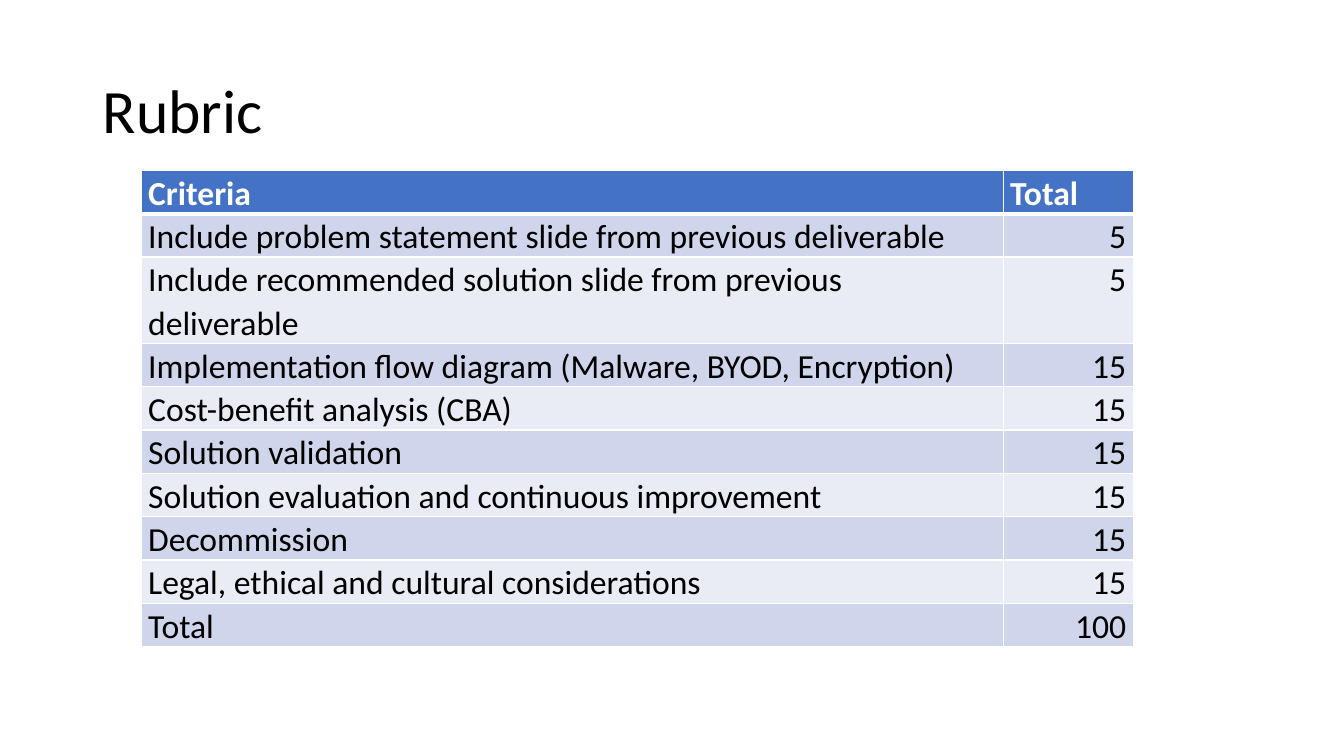
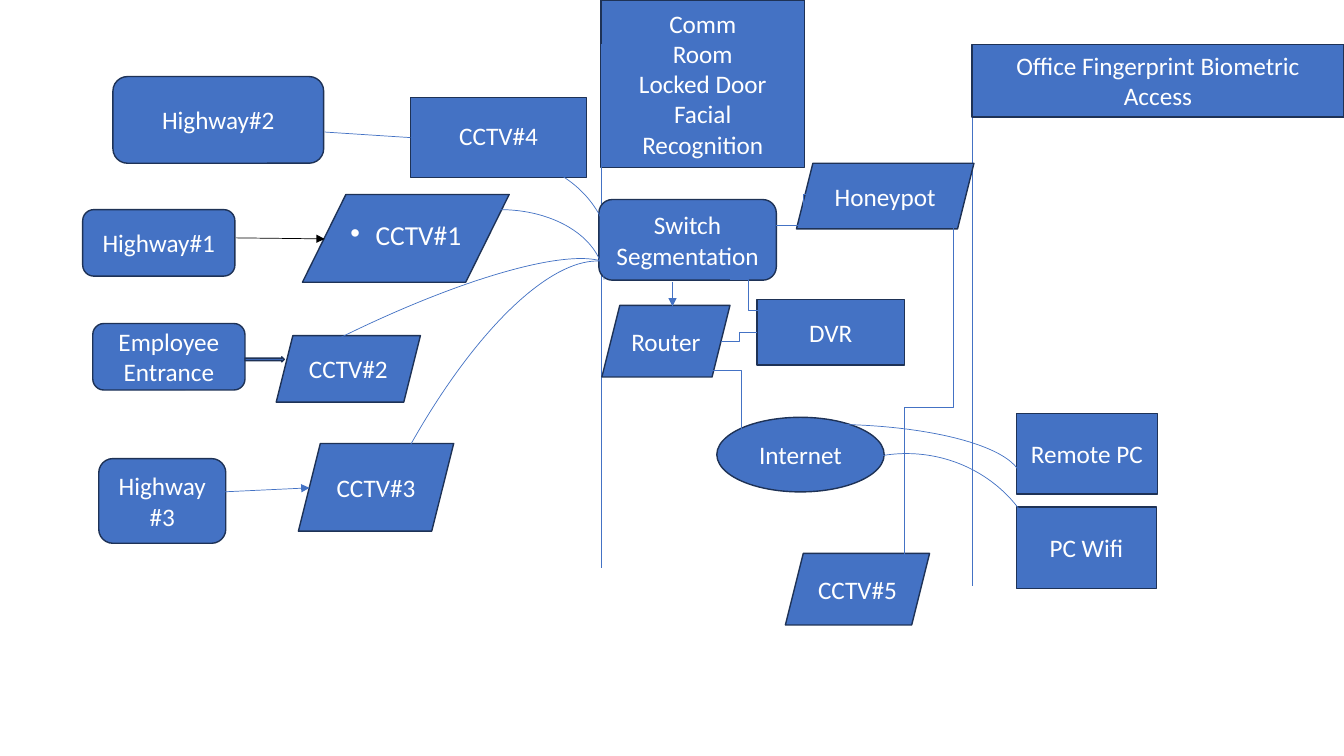
from lxml.etree import SubElement
from pptx import Presentation
from pptx.dml.color import RGBColor
from pptx.enum.shapes import MSO_CONNECTOR, MSO_SHAPE
from pptx.enum.text import MSO_ANCHOR, PP_ALIGN
from pptx.oxml import parse_xml
from pptx.oxml.ns import nsdecls, qn
from pptx.util import Inches, Pt

FONT = "Calibri"
BLUE, NAVY, WHITE, BLACK = "4472C4", "1E3256", "FFFFFF", "000000"
BANDS = ("CFD5EA", "E9EBF5")
COLUMNS, ROWS = 13.33, 7.5


def grid(*places):
    """Turn columns and rows of the one-inch grid into slide lengths."""
    return [Inches(place) for place in places]


def colour(code):
    return RGBColor.from_string(code)


class Deck:
    """Holds the style and the current slide."""

    def __init__(self):
        self.presentation = Presentation()
        self.presentation.slide_width, self.presentation.slide_height = grid(COLUMNS, ROWS)
        self.slide = None

    def new_slide(self):
        self.slide = self.presentation.slides.add_slide(self.presentation.slide_layouts[6])

    def set_text(self, frame, text, size, ink, align, spacing=None, bold=False):
        frame.text = text
        frame.word_wrap = True
        for paragraph in frame.paragraphs:
            paragraph.alignment = align
            paragraph.line_spacing = spacing
            paragraph.font.name = FONT
            paragraph.font.size = Pt(size)
            paragraph.font.bold = bold
            paragraph.font.color.rgb = colour(ink)

    def title(self, text):
        frame = self.slide.shapes.add_textbox(*grid(0.92, 0.4, 11.5, 1.45)).text_frame
        self.set_text(frame, text, 44, BLACK, PP_ALIGN.LEFT, 0.9)
        frame.vertical_anchor = MSO_ANCHOR.MIDDLE

    def table(self, at, widths, row_height, records):
        height = row_height * len(records)
        table = self.slide.shapes.add_table(
            len(records), len(widths), *grid(*at, sum(widths), height)).table
        for column, width in zip(table.columns, widths):
            column.width = Inches(width)
        for row, record in enumerate(records):
            table.rows[row].height = Inches(row_height)
            for column, text in enumerate(record):
                self.fill_cell(table.cell(row, column), text, row, column)

    def fill_cell(self, cell, text, row, column):
        header = row == 0
        align = PP_ALIGN.RIGHT if column and not header else PP_ALIGN.LEFT
        self.set_text(cell.text_frame, text, 24, WHITE if header else BLACK, align, 1.07, header)
        cell.text_frame.paragraphs[0].space_before = Pt(6)
        cell.margin_left = cell.margin_right = Inches(0.07)
        cell.margin_top = cell.margin_bottom = 0
        cell.fill.solid()
        cell.fill.fore_color.rgb = colour(BLUE if header else BANDS[(row - 1) % 2])
        top, bottom = (3 if row == 1 else 1), (3 if header else 1)
        for place, (side, width) in enumerate(zip("LRTB", (1, 1, top, bottom))):
            cell._tc.get_or_add_tcPr().insert(place, parse_xml(
                f'<a:ln{side} {nsdecls("a")} w="{Pt(width)}"><a:solidFill>'
                f'<a:srgbClr val="{WHITE}"/></a:solidFill></a:ln{side}>'))

    def node(self, kind, at, text="", adjust=None, size=18, spacing=None):
        shape = self.slide.shapes.add_shape(kind, *grid(*at))
        shape.shadow.inherit = False
        shape.fill.solid()
        shape.fill.fore_color.rgb = colour(BLUE)
        shape.line.color.rgb = colour(NAVY)
        shape.line.width = Pt(1)
        if adjust:
            shape.adjustments[0] = adjust
        if text:
            self.set_text(shape.text_frame, text, size, WHITE, PP_ALIGN.CENTER, spacing)
            shape.text_frame.vertical_anchor = MSO_ANCHOR.MIDDLE
        return shape

    def bullet(self, shape):
        properties = shape.text_frame.paragraphs[0]._p.get_or_add_pPr()
        properties.set("marL", str(Inches(0.25)))
        properties.set("indent", str(Inches(-0.25)))
        SubElement(properties, qn("a:buFont")).set("typeface", "Arial")
        SubElement(properties, qn("a:buChar")).set("char", "•")
        defaults = properties.find(qn("a:defRPr"))
        if defaults is not None:
            properties.append(defaults)

    def arc(self, at, rotation=0, ends=()):
        shape = self.slide.shapes.add_shape(MSO_SHAPE.ARC, *grid(*at))
        shape.shadow.inherit = False
        shape.fill.background()
        shape.line.color.rgb = colour(BLUE)
        shape.line.width = Pt(0.5)
        shape.rotation = rotation
        for index, end in enumerate(ends):
            shape.adjustments[index] = end

    def line(self, start, end, ink=BLUE, arrow=False, kind=MSO_CONNECTOR.STRAIGHT):
        connector = self.slide.shapes.add_connector(kind, *grid(*start, *end))
        connector.line.color.rgb = colour(ink)
        connector.line.width = Pt(0.5)
        properties = connector._element.spPr
        if arrow:
            SubElement(properties.find(qn("a:ln")), qn("a:tailEnd")).set("type", "triangle")
        SubElement(properties, qn("a:effectLst"))
        return connector

    def elbow(self, start, end):
        return self.line(start, end, kind=MSO_CONNECTOR.ELBOW)

    def upright_elbow(self, start, end):
        """Draw an elbow that leaves and arrives vertically, by a quarter turn."""
        middle_x, middle_y = (start[0] + end[0]) / 2, (start[1] + end[1]) / 2
        half_run, half_rise = (end[0] - start[0]) / 2, (start[1] - end[1]) / 2
        connector = self.elbow((middle_x + half_rise, middle_y + half_run),
                               (middle_x - half_rise, middle_y - half_run))
        connector._element.spPr.find(qn("a:xfrm")).set("rot", str(90 * 60000))


def rubric(deck):
    deck.new_slide()
    deck.title("Rubric")
    deck.table((1.4, 1.69), (8.55, 1.29), 0.43, [
        ("Criteria", "Total"),
        ("Include problem statement slide from previous deliverable", "5"),
        ("Include recommended solution slide from previous deliverable", "5"),
        ("Implementation flow diagram (Malware, BYOD, Encryption)", "15"),
        ("Cost-benefit analysis (CBA)", "15"),
        ("Solution validation", "15"),
        ("Solution evaluation and continuous improvement", "15"),
        ("Decommission", "15"),
        ("Legal, ethical and cultural considerations", "15"),
        ("Total", "100"),
    ])


def network(deck):
    process, plain = MSO_SHAPE.FLOWCHART_PROCESS, MSO_SHAPE.RECTANGLE
    rounded, slanted = MSO_SHAPE.ROUNDED_RECTANGLE, MSO_SHAPE.PARALLELOGRAM
    deck.new_slide()

    comm_room = deck.node(process, (5.96, 0, 2.02, 1.66),
                          "Comm\nRoom\nLocked Door\nFacial Recognition")
    comm_room.text_frame.vertical_anchor = MSO_ANCHOR.TOP
    comm_room.text_frame.margin_top = Inches(0.08)
    for wall, top, bottom in ((5.96, 0.44, 5.64), (9.64, 0.6, 5.81)):
        deck.line((wall, top), (wall, bottom))

    for kind, at, text in (
        (rounded, (1.12, 0.76, 2.09, 0.86), "Highway#2"),
        (rounded, (0.82, 2.08, 1.51, 0.66), "Highway#1"),
        (rounded, (0.92, 3.21, 1.51, 0.66), "Employee\nEntrance"),
        (rounded, (0.98, 4.55, 1.26, 0.84), "Highway#3"),
        (slanted, (2.74, 3.33, 1.43, 0.66), "CCTV#2"),
        (slanted, (2.96, 4.4, 1.54, 0.87), "CCTV#3"),
        (slanted, (7.79, 5.49, 1.43, 0.71), "CCTV#5"),
        (rounded, (5.94, 1.98, 1.76, 0.8), "Switch\nSegmentation"),
        (slanted, (5.97, 3.03, 1.27, 0.71), "Router"),
        (slanted, (7.9, 1.62, 1.76, 0.65), "Honeypot"),
        (MSO_SHAPE.OVAL, (7.11, 4.14, 1.66, 0.74), "Internet"),
        (process, (7.51, 2.97, 1.46, 0.65), "DVR"),
        (plain, (10.08, 4.1, 1.4, 0.8), "Remote PC"),
        (plain, (10.08, 5.03, 1.39, 0.81), "PC Wifi"),
        (process, (9.64, 0.44, 3.69, 0.72), "Office Fingerprint Biometric Access"),
    ):
        deck.node(kind, at, text)
    deck.bullet(deck.node(slanted, (3, 1.93, 2.05, 0.87), "CCTV#1", 0.495, 19.6, 0.7))
    cctv_4 = deck.node(plain, (4.07, 0.97, 1.75, 0.79), "CCTV#4", spacing=0.9)
    deck.node(MSO_SHAPE.RIGHT_ARROW, (2.43, 3.54, 0.39, 0.05))

    deck.arc((3.94, 2.08, 2.05, 1.39))
    deck.arc((3.9, 1.57, 2.16, 1.92), 8.1)
    deck.arc((0.56, 3.37, 5.86, 1.31), 332.8)
    deck.arc((1.48, 4.46, 6.57, 2.33), 294.1)
    deck.arc((7.61, 4.5, 2.76, 2.66), ends=(154.66, 213.62))
    deck.arc((6.3, 4.21, 3.83, 1.1), ends=(167.44, 0))

    deck.line((3.22, 1.31), (4.07, 1.36)).end_connect(cctv_4, 1)
    deck.line((2.34, 2.36), (3.22, 2.37), BLACK, arrow=True)
    deck.line((2.21, 4.88), (3.07, 4.84), arrow=True)
    deck.line((6.67, 2.8), (6.67, 3.04), arrow=True)
    deck.elbow((7.24, 2.77), (7.61, 3.08))
    deck.elbow((7.7, 2.24), (8.24, 1.93))
    deck.elbow((6.85, 3.67), (7.85, 4.67))
    deck.elbow((7.51, 3.3), (7.15, 3.39))
    deck.upright_elbow((8.97, 5.84), (9.46, 2.24))


def main():
    deck = Deck()
    rubric(deck)
    network(deck)
    deck.presentation.save("out.pptx")


if __name__ == "__main__":
    main()
